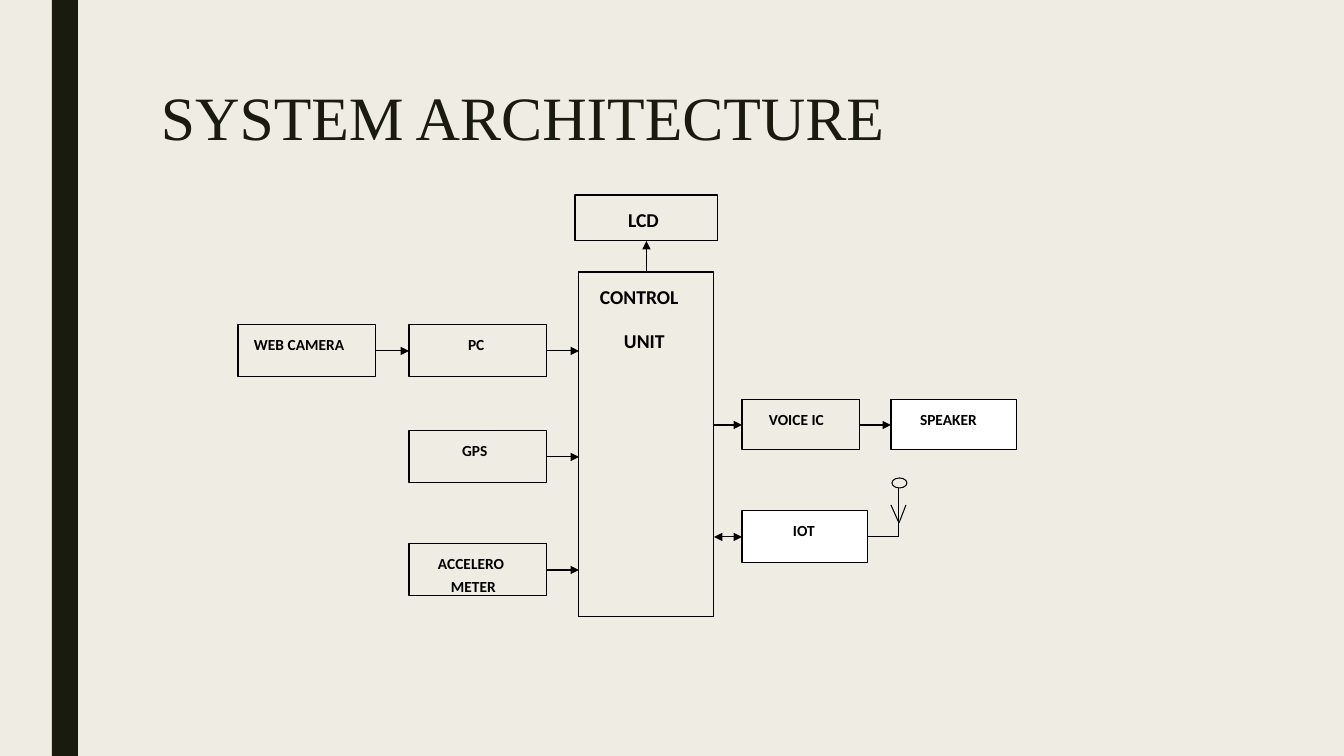
import lxml.etree
import pptx
import pptx.util
import pptx.dml.color
import pptx.enum.shapes
import pptx.enum.text
import pptx.oxml.ns

RGB = pptx.dml.color.RGBColor
PAPER = RGB(0xEF, 0xED, 0xE3)
DARK = RGB(0x19, 0x1B, 0x0E)
BLACK = RGB(0, 0, 0)
WHITE = RGB(255, 255, 255)
SCALE = 914400 / 100.8
WIDE, HIGH = 1344, 756

TITLE = ("SYSTEM ARCHITECTURE", (151, 76, 1058, 89))
BAR = (52, 0, 26, HIGH)
OVAL = (892, 478, 15, 10)

BOXES = {
    "hub": ((579, 272, 135, 345), None, 14, 13.4, 11, [("CONTROL", 21), ("UNIT", 45)]),
    "lcd": ((575, 195, 143, 46), None, 14, 8, 11, [("LCD", 53)]),
    "cam": ((238, 325, 138, 52), None, 11, 8, 9, [("WEB CAMERA", 16)]),
    "pc": ((409, 325, 138, 52), None, 11, 8, 9, [("PC", 59)]),
    "gps": ((409, 431, 138, 52), None, 11, 8, 9, [("GPS", 53)]),
    "tilt": ((409, 544, 138, 52), None, 11, 2.2, 9, [("ACCELERO", 29), ("METER", 42)]),
    "voice": ((742, 400, 118, 50), None, 11, 8, 9, [("VOICE IC", 27)]),
    "horn": ((891, 400, 126, 50), WHITE, 11, 8, 9, [("SPEAKER", 29)]),
    "iot": ((742, 511, 126, 52), WHITE, 11, 8, 9, [("IOT", 51)]),
}
TOP, LEFT, BASE, RIGHT = range(4)
LINKS = [
    (("hub", TOP), ("lcd", BASE), ["tailEnd"]),
    (("cam", RIGHT), ("pc", LEFT), ["tailEnd"]),
    (("pc", RIGHT), (579, 351), ["tailEnd"]),
    (("gps", RIGHT), (579, 457), ["tailEnd"]),
    (("tilt", RIGHT), (579, 570), ["tailEnd"]),
    ((714, 425), ("voice", LEFT), ["tailEnd"]),
    (("voice", RIGHT), ("horn", LEFT), ["tailEnd"]),
    ((714, 537), ("iot", LEFT), ["headEnd", "tailEnd"]),
    (("iot", RIGHT), (899, 537), []),
    ((899, 537), (899, 488), []),
    ((899, 523), (906, 505), []),
    ((899, 523), (891, 505), []),
]


def emu(*nums):
    return [round(n * SCALE) for n in nums]


def put(item, vals):
    for key, val in vals.items():
        setattr(item, key, val)


def draw(kind, area, fill=None, edge=BLACK):
    shape = slide.shapes.add_shape(kind, *emu(*area))
    shape.shadow.inherit = False
    if fill is None:
        shape.fill.background()
    else:
        shape.fill.solid()
        shape.fill.fore_color.rgb = fill
    if edge is None:
        shape.line.fill.background()
    else:
        shape.line.color.rgb = edge
        shape.line.width = pptx.util.Pt(0.75)
    return shape


def write(para, text, form, face, tint):
    para.text = text
    put(para, form)
    put(para.font, face)
    para.font.color.rgb = tint


def label(shape, size, gap, top, lines):
    frame = shape.text_frame
    put(frame, {"word_wrap": True, "margin_left": 0, "margin_right": 0,
                "margin_top": emu(top)[0], "margin_bottom": 0,
                "vertical_anchor": pptx.enum.text.MSO_ANCHOR.TOP})
    form = {"alignment": pptx.enum.text.PP_ALIGN.LEFT, "line_spacing": 1.07,
            "space_after": pptx.util.Pt(gap)}
    face = {"name": "Calibri", "size": pptx.util.Pt(size), "bold": True}
    for i, (text, left) in enumerate(lines):
        para = frame.add_paragraph() if i else frame.paragraphs[0]
        write(para, text, form, face, BLACK)
        para._p.get_or_add_pPr().set("marL", str(emu(left)[0]))


def spot(end):
    if end[0] not in BOXES:
        return end
    x, y, w, h = BOXES[end[0]][0]
    return [(x + w / 2, y), (x, y + h / 2), (x + w / 2, y + h), (x + w, y + h / 2)][end[1]]


def link(start, stop, heads):
    line = slide.shapes.add_connector(
        pptx.enum.shapes.MSO_CONNECTOR.STRAIGHT, *emu(*spot(start), *spot(stop)))
    for join, end in ((line.begin_connect, start), (line.end_connect, stop)):
        if end[0] in shapes:
            join(shapes[end[0]], end[1])
    line.line.color.rgb = BLACK
    line.line.width = pptx.util.Pt(0.75)
    qn = pptx.oxml.ns.qn
    prop = line._element.spPr
    edge = prop.find(qn("a:ln"))
    for head in heads:
        lxml.etree.SubElement(edge, qn("a:" + head), type="triangle")
    lxml.etree.SubElement(prop, qn("a:effectLst"))


deck = pptx.Presentation()
deck.slide_width, deck.slide_height = emu(WIDE, HIGH)
slide = deck.slides.add_slide(deck.slide_layouts[6])
slide.background.fill.solid()
slide.background.fill.fore_color.rgb = PAPER
kinds = pptx.enum.shapes.MSO_SHAPE

draw(kinds.RECTANGLE, BAR, DARK, None)
text, area = TITLE
frame = slide.shapes.add_textbox(*emu(*area)).text_frame
put(frame, {"word_wrap": True, "vertical_anchor": pptx.enum.text.MSO_ANCHOR.MIDDLE})
write(frame.paragraphs[0], text, {"line_spacing": 0.89},
      {"name": "Times New Roman", "size": pptx.util.Pt(44)}, DARK)

shapes = {}
for key, (area, fill, *words) in BOXES.items():
    shapes[key] = draw(kinds.RECTANGLE, area, fill)
    label(shapes[key], *words)
draw(kinds.OVAL, OVAL)
for ends in LINKS:
    link(*ends)

deck.save("out.pptx")
